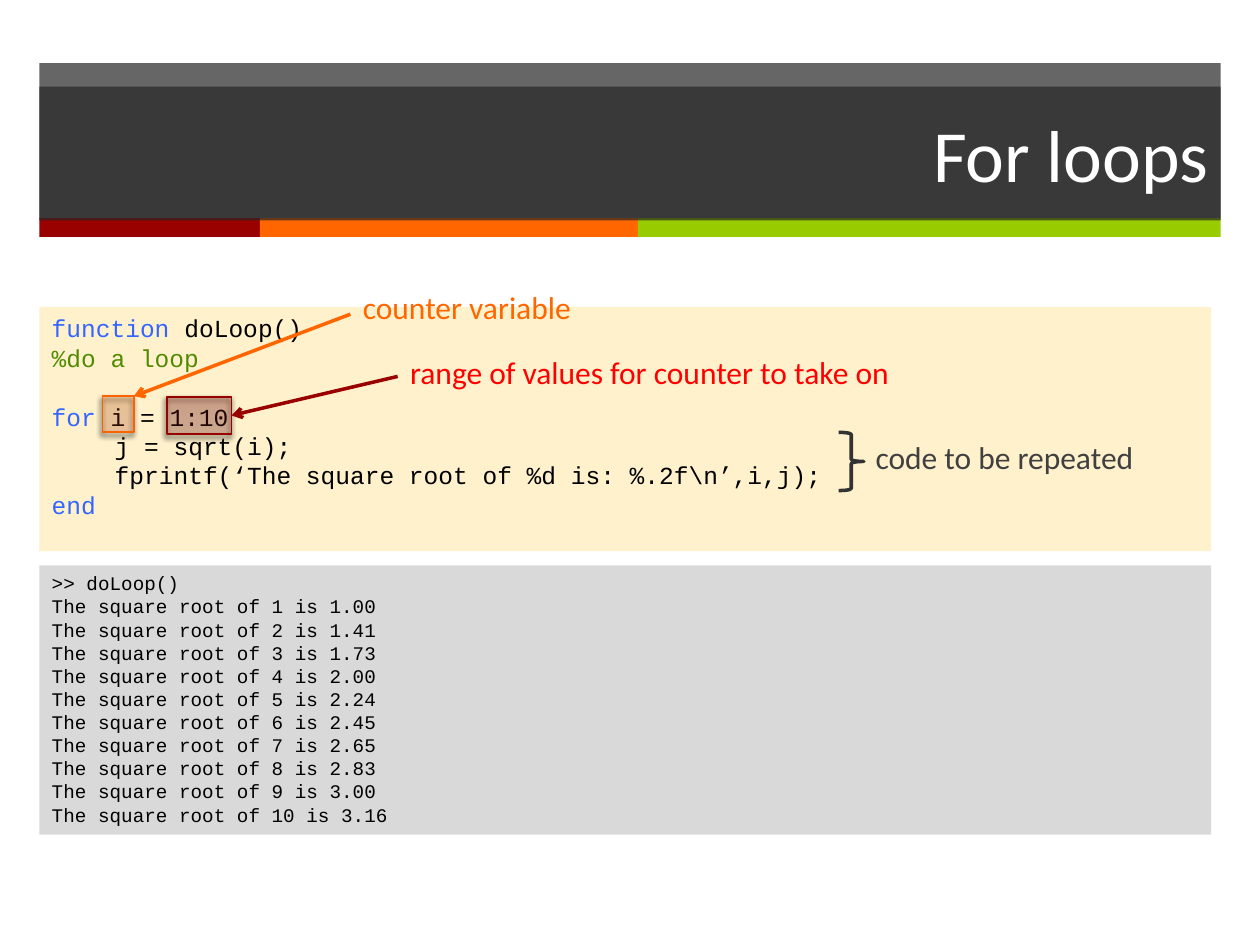
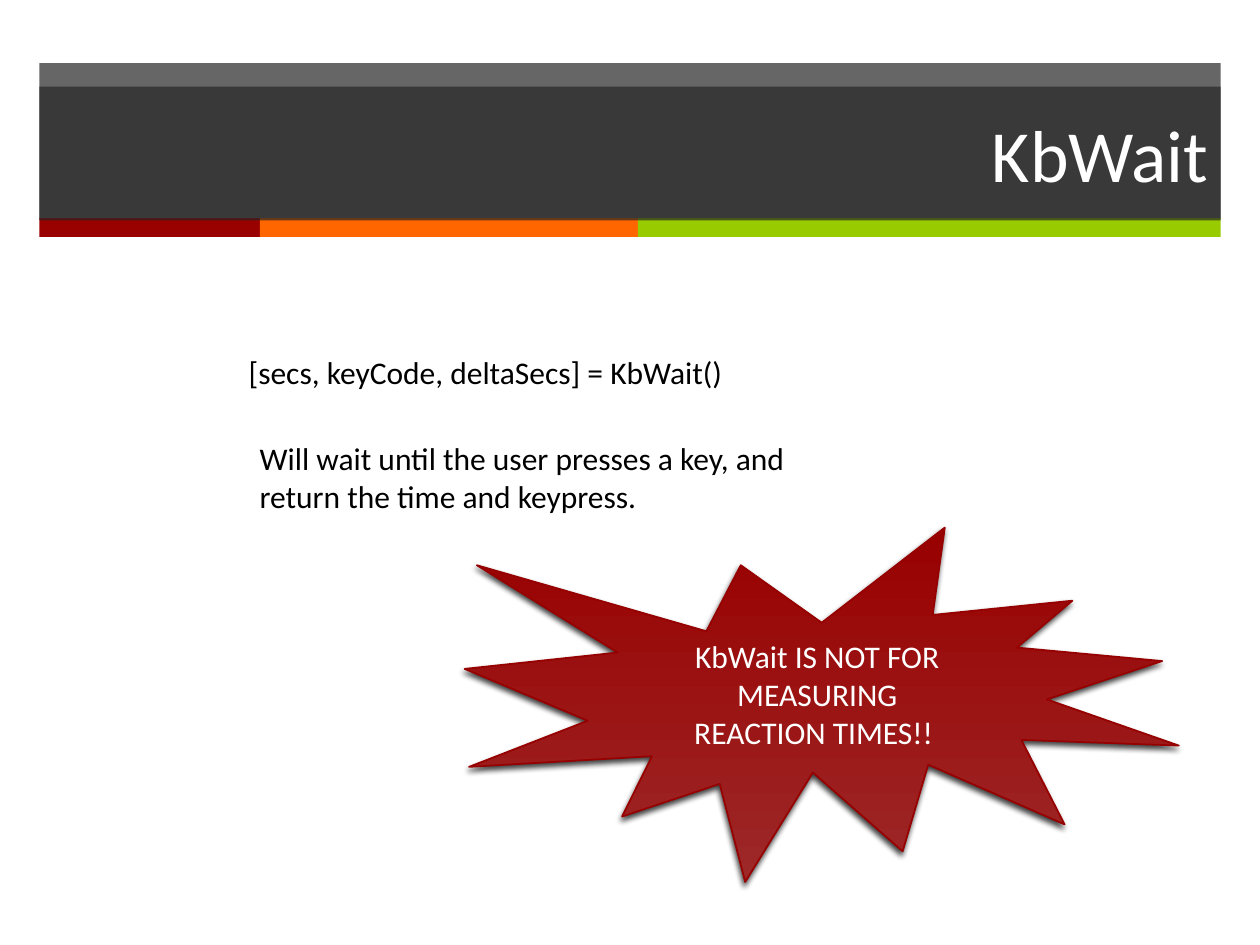
from dataclasses import dataclass

from lxml import etree
from pptx import Presentation, util as u
from pptx.dml.color import RGBColor
from pptx.enum import shapes as sh, text as tx
from pptx.oxml.ns import qn


@dataclass(frozen=True)
class Theme:
    dark: str = "262626"
    red: str = "990000"
    brick: str = "9D2828"
    rust: str = "960000"
    orange: str = "FF6600"
    coral: str = "FF5217"
    amber: str = "F96400"
    green: str = "99CC00"
    cream: str = "FFF1CC"
    silver: str = "D9D9D9"
    white: str = "FFFFFF"
    black: str = "000000"
    blue: str = "3366FF"
    moss: str = "528A02"
    alert: str = "FF0000"
    slate: str = "333333"
    gray: str = "404040"
    sans: str = "Calibri"
    mono: str = "Courier New"
    title: int = 42
    body: int = 18
    code: int = 14
    output: int = 11


T = Theme()
COLS, ROWS = 160, 120
CELL = u.Inches(10) // COLS
LEFT, WIDE, PANEL = 5, 150, 148.8
LEADING = 1.2


def grid(*cells):
    return [round(n * CELL) for n in cells]


def rgb(code):
    return RGBColor.from_string(code)


def add(parent, tag, **attrs):
    return etree.SubElement(parent, qn(tag), {k: str(v) for k, v in attrs.items()})


def style(font, size, color, name=T.sans):
    font.size, font.name = u.Pt(size), name
    font.color.rgb = rgb(color)


def fade(shape, share):
    """Make every fill colour of the shape opaque only by share per cent."""
    for color in shape._element.spPr.iter(qn("a:srgbClr")):
        add(color, "a:alpha", val=share * 1000)


def block(slide, area, color=None, kind=sh.MSO_SHAPE.RECTANGLE):
    box = slide.shapes.add_shape(kind, *grid(*area))
    box.shadow.inherit = False
    box.line.fill.background()
    if color:
        box.fill.solid()
        box.fill.fore_color.rgb = rgb(color)
    else:
        box.fill.background()
    return box


def glow(slide, area, low, high, edge, share=100, kind=sh.MSO_SHAPE.RECTANGLE):
    """Add a shape that blends from low to high and casts a soft shadow."""
    box = block(slide, area, kind=kind)
    box.fill.gradient()
    box.fill.gradient_angle = 90
    for stop, color in zip(box.fill.gradient_stops, (low, high)):
        stop.color.rgb = rgb(color)
    if share < 100:
        fade(box, share)
    box.line.color.rgb = rgb(edge)
    box.line.width = u.Pt(1)
    effects = box._element.spPr.find(qn("a:effectLst"))
    shade = add(effects, "a:outerShdw", blurRad=u.Pt(3), dist=u.Pt(2),
                dir=110 * 60000, rotWithShape=0)
    add(add(shade, "a:srgbClr", val=T.black), "a:alpha", val=75000)
    return box


def frame(slide):
    band = block(slide, (LEFT, 8, WIDE, 19.8), T.dark)
    fade(band, 70)
    left = LEFT
    for width, color in ((28, T.red), (48, T.orange), (74, T.green)):
        block(slide, (left, 27.7, width, 2.4), color)
        left += width


def title(slide, words):
    box = block(slide, (LEFT, 11, WIDE, 17), T.dark)
    fade(box, 70)
    box.text_frame.vertical_anchor = tx.MSO_ANCHOR.MIDDLE
    par = box.text_frame.paragraphs[0]
    par.text, par.alignment = words, tx.PP_ALIGN.RIGHT
    style(par.font, T.title, T.white)


def label(slide, area, words, color=T.black):
    box = slide.shapes.add_textbox(*grid(*area))
    box.text_frame.word_wrap = True
    par = box.text_frame.paragraphs[0]
    par.text = words
    style(par.font, T.body, color)


def listing(slide, area, fill, lines, size):
    """Add a code panel; a line is a list of (words, colour), None leaves a gap."""
    box = block(slide, area, fill)
    body = box.text_frame
    body.vertical_anchor = tx.MSO_ANCHOR.TOP
    par, gap = None, 0
    for line in lines:
        if line is None:
            gap = size * LEADING
            continue
        par = body.add_paragraph() if par else body.paragraphs[0]
        par.alignment = tx.PP_ALIGN.LEFT
        par.line_spacing = u.Pt(size * LEADING)
        if gap:
            par.space_before, gap = u.Pt(gap), 0
        if line[0][0].startswith("\t"):
            tabs = add(par._p.get_or_add_pPr(), "a:tabLst")
            add(tabs, "a:tab", pos=u.Inches(0.5), algn="l")
        for words, color in line:
            run = par.add_run()
            run.text = words
            style(run.font, size, color, T.mono)


def arrow(slide, start, end, color, goal=None):
    link = slide.shapes.add_connector(sh.MSO_CONNECTOR.STRAIGHT, *grid(*start, *end))
    if goal:
        link.end_connect(goal, 3)
    link.line.color.rgb = rgb(color)
    link.line.width = u.Pt(2)
    add(link.line._get_or_add_ln(), "a:tailEnd", type="arrow")
    add(link._element.spPr, "a:effectLst")


def loops(slide):
    title(slide, "For loops")
    listing(slide, (LEFT, 39, PANEL, 31), T.cream, [
        [("function ", T.blue), ("doLoop()", T.black)],
        [("%do a loop", T.moss)],
        None,
        [("for ", T.blue), ("i = 1:10", T.black)],
        [("\tj = sqrt(i);", T.black)],
        [("\tfprintf(‘The square root of %d is: %.2f\\n’,i,j);", T.black)],
        [("end", T.blue)],
    ], T.code)
    roots = [f"The square root of {n} is {n ** 0.5:.2f}" for n in range(1, 11)]
    listing(slide, (LEFT, 71.8, PANEL, 34.2), T.silver,
            [[(row, T.black)] for row in [">> doLoop()"] + roots], T.output)

    glow(slide, (13, 50.3, 4, 4.6), T.coral, T.orange, T.amber, 16)
    label(slide, (44.5, 35.8, 39.4, 6.4), "counter variable", T.orange)
    span = glow(slide, (21.2, 50.4, 8.2, 4.7), T.brick, T.red, T.rust, 21)
    label(slide, (50.5, 44, 78.7, 6.4), "range of values for counter to take on", T.alert)
    arrow(slide, (44.5, 39.9), (17, 50.3), T.orange)
    arrow(slide, (50.5, 47.8), (29.4, 52.8), T.red, span)

    brace = block(slide, (106.5, 54.9, 3.2, 7.4), kind=sh.MSO_SHAPE.RIGHT_BRACE)
    brace.line.color.rgb = rgb(T.slate)
    brace.line.width = u.Pt(2)
    label(slide, (109.6, 54.9, 39.4, 6.4), "code to be repeated", T.gray)


def waiting(slide):
    title(slide, "KbWait")
    label(slide, (30, 44, 100.5, 6.4), "[secs, keyCode, deltaSecs] = KbWait()")
    label(slide, (31.4, 55, 80.5, 11.4),
          "Will wait until the user presses a key, and return the time and keypress.")
    burst = glow(slide, (59, 67, 90.7, 45), T.brick, T.red, T.rust,
                 kind=sh.MSO_SHAPE.EXPLOSION1)
    body = burst.text_frame
    body.vertical_anchor = tx.MSO_ANCHOR.MIDDLE
    body.text = "KbWait IS NOT FOR MEASURING\nREACTION TIMES!! "
    for par in body.paragraphs:
        par.alignment = tx.PP_ALIGN.CENTER
        style(par.font, T.body, T.white)


def main():
    deck = Presentation()
    deck.slide_width, deck.slide_height = grid(COLS, ROWS)
    for fill in (loops, waiting):
        slide = deck.slides.add_slide(deck.slide_layouts[6])
        frame(slide)
        fill(slide)
    deck.save("out.pptx")


if __name__ == "__main__":
    main()
